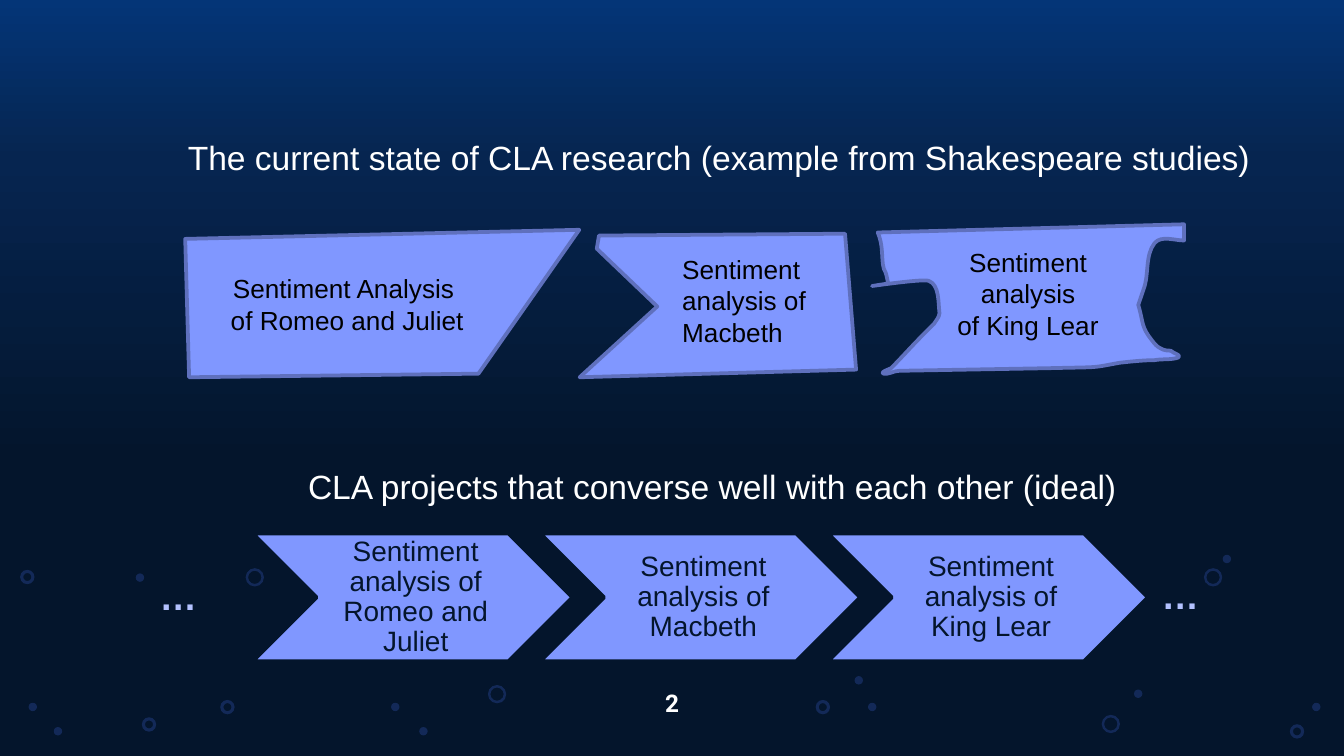
from dataclasses import dataclass

import pptx
import pptx.dml.color
import pptx.enum.shapes
import pptx.enum.text
import pptx.oxml
import pptx.oxml.ns
import pptx.util

Pt = pptx.util.Pt
Shape = pptx.enum.shapes.MSO_SHAPE
Align = pptx.enum.text.PP_ALIGN
Anchor = pptx.enum.text.MSO_ANCHOR

COLOURS = {
    "sky": "043577", "dusk": "062550", "night": "04152C", "bubble": "4B77FF",
    "piece": "8097FF", "edge": "5F70BD", "dots": "B3C1FF",
    "white": "FFFFFF", "black": "000000",
}
BACKGROUND_STOPS = [(0, "sky"), (21, "dusk"), (61, "night"), (100, "night")]
BUBBLE_ALPHA = 21


@dataclass
class Bubbles:
    kind: Shape
    size: float
    hole: float | None
    places: list[tuple[float, float]]


@dataclass
class Label:
    lines: list[str]
    area: tuple[float, float, float, float]
    size: float
    colour: str
    align: Align = Align.CENTER
    anchor: Anchor = Anchor.TOP
    insets: tuple[float, float, float, float] = (7.2, 3.6, 7.2, 3.6)
    bold: bool = False
    font: str = "Arial"
    spacing: float = 1.0


BUBBLES = [
    Bubbles(Shape.DONUT, 7.7, 0.221, [
        (118, 375), (76, 384.3), (10.8, 305.3), (437, 375), (691, 388)]),
    Bubbles(Shape.DONUT, 9.8, 0.138, [
        (131.6, 304.4), (645, 304.4), (261.4, 367), (590.2, 383)]),
    Bubbles(Shape.OVAL, 4.5, None, [
        (209.5, 376.5), (224.6, 389.5), (72.7, 307.2), (457.8, 362.2), (465, 376.5),
        (607.5, 369.4), (702.9, 376.5), (655, 297.2), (28.8, 389.5), (15.3, 376.5)]),
]

# Each outline is a start point and its segments: one point is a line, three a curve
ROMEO_PIECE = [((101.3, 202.1),), ((256.3, 200.2),), ((310.3, 123.1),), ((99.2, 128),)]
MACBETH_PIECE = [((319.7, 133.2),), ((352.1, 164.2),), ((310.5, 202.1),),
                 ((458.6, 198),), ((452.7, 125.2),), ((320.9, 126.2),)]
LEAR_PIECE = [
    ((470.2, 124.6),), ((634.3, 120.2),), ((634.3, 128.9),),
    ((629.3, 128.9), (622.1, 126), (618.5, 130.3)),
    ((613.4, 136.8), (615.6, 146.9), (612.7, 154.8)),
    ((609.8, 163.4),),
    ((612.7, 173.5), (611.3, 175), (617, 182.2)),
    ((618.5, 184.3), (619.9, 185.8), (621.4, 186.5)),
    ((623.5, 187.9), (625.7, 187.9), (627.1, 187.9)),
    ((628.6, 189.4), (632.9, 190.1), (631.4, 191.5)),
    ((627.8, 193), (622.8, 192.2), (618.5, 193)),
    ((612.7, 193), (606.2, 193.7), (599.8, 194.4)),
    ((583.9, 197.3), (591.1, 196.6), (562.3, 197.3)),
    ((481.7, 198.7),),
    ((478.8, 198.7), (475.9, 200.9), (473, 200.2)),
    ((471.6, 199.4), (475.9, 198), (477.4, 197.3)),
    ((483.1, 191.5), (488.9, 185), (494.6, 179.3)),
    ((500.4, 173.5),),
    ((501.1, 172.1), (503.3, 169.9), (503.3, 167.8)),
    ((502.6, 162), (503.3, 152.6), (497.5, 150.5)),
    ((493.2, 149), (448.6, 156.2), (475.9, 151.9)),
    ((475.2, 149.8), (475.2, 148.3), (474.5, 146.2)),
    ((473.8, 144.7), (473, 143.3), (473, 141.8)),
    ((472.3, 136.8), (473, 131), (470.2, 124.6)),
]

LABELS = [
    Label(["2"], (338.4, 347.8, 43.2, 57.6), 13, "white", anchor=Anchor.MIDDLE,
          insets=(0, 0, 0, 0), bold=True, font="Roboto"),
    Label(["The current state of CLA research (example from Shakespeare studies)"],
          (74.2, 69.8, 622, 29), 18, "white"),
    Label(["CLA projects that converse well with each other (ideal)"],
          (126.7, 246.2, 509.8, 29), 18, "white"),
    Label(["Sentiment Analysis", " of Romeo and Juliet"],
          (97, 142.6, 174.2, 58.3), 14, "black"),
    Label(["Sentiment analysis of Macbeth"],
          (358.4, 132.2, 127.4, 74.9), 14, "black", align=Align.LEFT),
    Label(["Sentiment analysis", "of King Lear"],
          (497.1, 128.5, 107.3, 74.9), 14, "black"),
] + [Label(["…"], (left, top, 67, 31.7), 20, "dots", align=Align.LEFT, bold=True)
     for left, top in ((78.5, 303.8), (615.3, 303.1))]

PLAYS = ["Romeo and Juliet", "Macbeth", "King Lear"]
CHEVRON_LEFT, CHEVRON_TOP, CHEVRON_STEP = 135.3, 285.8, 154.1
CHEVRON_WIDTH, CHEVRON_HEIGHT = 171.4, 68.5


def rgb(name: str) -> pptx.dml.color.RGBColor:
    return pptx.dml.color.RGBColor.from_string(COLOURS[name])


def drawing_xml(tag: str, attributes: str = "", inner: str = ""):
    namespace = pptx.oxml.ns.nsdecls("a")
    return pptx.oxml.parse_xml(f"<a:{tag} {namespace} {attributes}>{inner}</a:{tag}>")


def paint(shape, fill: str, line: str | None = None) -> None:
    shape.shadow.inherit = False
    shape.fill.solid()
    shape.fill.fore_color.rgb = rgb(fill)
    if line is None:
        shape.line.fill.background()
    else:
        shape.line.color.rgb = rgb(line)
        shape.line.width = Pt(2)


def paint_background(page) -> None:
    fill = page.background.fill
    fill.gradient()
    fill.gradient_angle = 270
    stops = next(page.element.iter(pptx.oxml.ns.qn("a:gsLst")))
    for stop in list(stops):
        stops.remove(stop)
    for position, name in BACKGROUND_STOPS:
        stops.append(drawing_xml("gs", f'pos="{position * 1000}"',
                                 f'<a:srgbClr val="{COLOURS[name]}"/>'))


def draw_bubbles(page, group: Bubbles) -> None:
    for left, top in group.places:
        bubble = page.shapes.add_shape(
            group.kind, Pt(left), Pt(top), Pt(group.size), Pt(group.size))
        if group.hole is not None:
            bubble.adjustments[0] = group.hole
        paint(bubble, "bubble")
        colour = next(bubble.element.spPr.iter(pptx.oxml.ns.qn("a:srgbClr")))
        colour.append(drawing_xml("alpha", f'val="{BUBBLE_ALPHA * 1000}"'))


def draw_piece(page, outline: list[tuple]) -> None:
    start, *ends = [(Pt(x), Pt(y)) for x, y in (segment[-1] for segment in outline)]
    builder = page.shapes.build_freeform(*start)
    builder.add_line_segments(ends, close=True)
    piece = builder.convert_to_shape()
    paint(piece, "piece", "edge")
    line = next(piece.element.spPr.iter(pptx.oxml.ns.qn("a:ln")))
    line.append(drawing_xml("round"))

    # Bend the sides that have control points
    sides = list(piece.element.iter(pptx.oxml.ns.qn("a:lnTo")))
    for side, segment in zip(sides, outline[1:]):
        if len(segment) == 3:
            points = "".join(f'<a:pt x="{Pt(x) - piece.left}" y="{Pt(y) - piece.top}"/>'
                             for x, y in segment)
            side.getparent().replace(side, drawing_xml("cubicBezTo", inner=points))


def draw_label(page, label: Label) -> None:
    box = page.shapes.add_textbox(*map(Pt, label.area))
    frame = box.text_frame
    left, top, right, bottom = map(Pt, label.insets)
    frame_format = {
        "word_wrap": True, "vertical_anchor": label.anchor, "margin_left": left,
        "margin_top": top, "margin_right": right, "margin_bottom": bottom,
    }
    for name, value in frame_format.items():
        setattr(frame, name, value)
    font_format = {"name": label.font, "size": Pt(label.size), "bold": label.bold}
    for index, line in enumerate(label.lines):
        para = frame.add_paragraph() if index else frame.paragraphs[0]
        para.alignment = label.align
        para.line_spacing = label.spacing
        span = para.add_run()
        span.text = line
        for name, value in font_format.items():
            setattr(span.font, name, value)
        span.font.color.rgb = rgb(label.colour)


def draw_chevron(page, index: int, play: str) -> None:
    left = CHEVRON_LEFT + index * CHEVRON_STEP
    chevron = page.shapes.add_shape(
        Shape.CHEVRON, Pt(left), Pt(CHEVRON_TOP), Pt(CHEVRON_WIDTH), Pt(CHEVRON_HEIGHT))
    paint(chevron, "piece", "night")
    area = (left + CHEVRON_HEIGHT / 2, CHEVRON_TOP,
            CHEVRON_WIDTH - CHEVRON_HEIGHT, CHEVRON_HEIGHT)
    draw_label(page, Label([f"Sentiment analysis of {play}"], area, 15, "night",
                           anchor=Anchor.MIDDLE, insets=(5, 1.5, 1.5, 1.5), spacing=0.9))


def main() -> None:
    deck = pptx.Presentation()
    deck.slide_width, deck.slide_height = Pt(720), Pt(405)
    page = deck.slides.add_slide(deck.slide_layouts[6])

    # Night sky with bubbles
    paint_background(page)
    for group in BUBBLES:
        draw_bubbles(page, group)

    # Mismatched pieces of current research
    for outline in (ROMEO_PIECE, MACBETH_PIECE, LEAR_PIECE):
        draw_piece(page, outline)

    # Matching chevrons of the ideal
    for index, play in enumerate(PLAYS):
        draw_chevron(page, index, play)

    # Headings, piece labels, ellipses and page number
    for label in LABELS:
        draw_label(page, label)

    deck.save("out.pptx")


if __name__ == "__main__":
    main()
